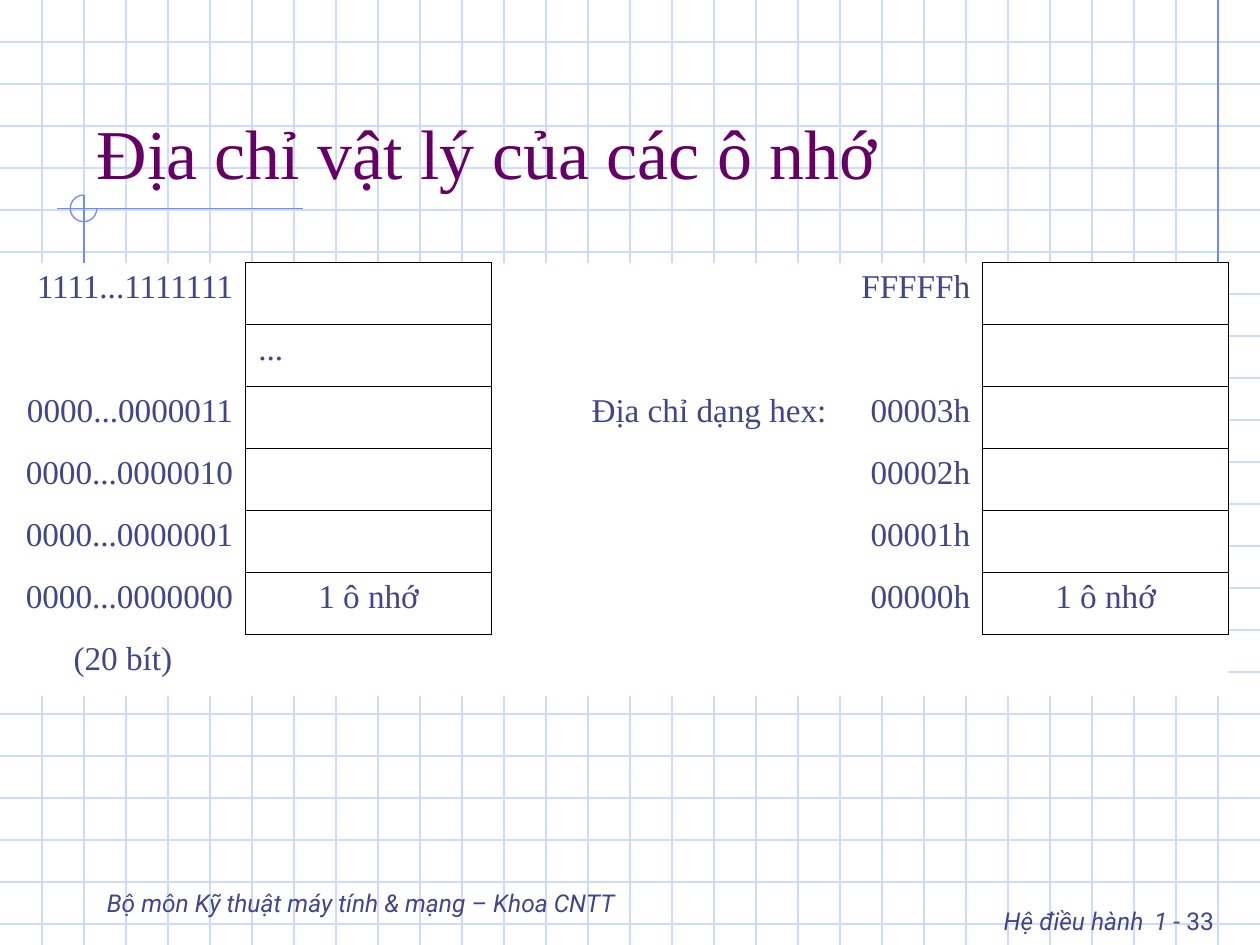
from lxml.etree import SubElement
from pptx import Presentation
from pptx.dml.color import RGBColor
from pptx.enum.shapes import MSO_CONNECTOR, MSO_SHAPE
from pptx.enum.text import MSO_ANCHOR, MSO_AUTO_SIZE, PP_ALIGN
from pptx.oxml.ns import qn
from pptx.util import Pt

# Content
TITLE = "Địa chỉ vật lý của các ô nhớ"
DEPARTMENT = "Bộ môn Kỹ thuật máy tính & mạng – Khoa CNTT"
# Page label runs: text, size, italic
PAGE_LABEL = [("Hệ điều hành", 14, True), (" ", 24, False),
              ("1", 14, True), (" - 33", 14, False)]
MEMORY = [
    ("1111...1111111", "", "", "FFFFFh", ""),
    ("", "...", "", "", ""),
    ("0000...0000011", "", "Địa chỉ dạng hex:", "00003h", ""),
    ("0000...0000010", "", "", "00002h", ""),
    ("0000...0000001", "", "", "00001h", ""),
    ("0000...0000000", "1 ô nhớ", "", "00000h", "1 ô nhớ"),
    ("(20 bít)", "", "", "", ""),
]
CENTERED = ("1 ô nhớ", "(20 bít)")
BOX_COLUMNS = (1, 4)
COLUMN_WIDTHS = (140.4, 140.4, 198.7, 82.1, 140.4)
ROW_HEIGHT = 35.43

# Look
WIDTH, HEIGHT, GRID = 720, 540, 24
SERIF, SANS = "Times New Roman", "Roboto"
INK, PLUM, PALE, BLUE = "40458C", "660066", "CFDBFD", "6F89F7"
WHITE, BLACK = "FFFFFF", "000000"


def color(value):
    return RGBColor.from_string(value)


def style(run, font, size, ink, italic=False):
    run.font.name, run.font.size, run.font.italic = font, Pt(size), italic
    run.font.color.rgb = color(ink)


def place(shape, left, top, width, height):
    shape.left, shape.top = Pt(left), Pt(top)
    shape.width, shape.height = Pt(width), Pt(height)


def add_line(slide, x1, y1, x2, y2, ink):
    line = slide.shapes.add_connector(
        MSO_CONNECTOR.STRAIGHT, Pt(x1), Pt(y1), Pt(x2), Pt(y2))
    line.line.color.rgb = color(ink)
    line.line.width = Pt(0.75)
    SubElement(line._element.spPr, qn("a:effectLst"))


def add_footer(slide, left, top, width, runs, align, anchor):
    footer = slide.shapes.add_textbox(Pt(left), Pt(top), Pt(width), Pt(36))
    frame = footer.text_frame
    frame.word_wrap, frame.vertical_anchor = True, anchor
    paragraph = frame.paragraphs[0]
    paragraph.alignment = align
    for words, size, italic in runs:
        run = paragraph.add_run()
        run.text = words
        style(run, SANS, size, INK, italic)


def is_box(row, column):
    return column in BOX_COLUMNS and 0 <= row < len(MEMORY) - 1


def set_borders(cell, row, column):
    neighbours = {"a:lnL": (row, column - 1), "a:lnR": (row, column + 1),
                  "a:lnT": (row - 1, column), "a:lnB": (row + 1, column)}
    properties = cell._tc.get_or_add_tcPr()
    for position, (edge, neighbour) in enumerate(neighbours.items()):
        border = SubElement(properties, qn(edge), w=str(Pt(0.45)))
        properties.insert(position, border)
        if is_box(row, column) or is_box(*neighbour):
            fill = SubElement(border, qn("a:solidFill"))
            SubElement(fill, qn("a:srgbClr"), val=BLACK)
        else:
            SubElement(border, qn("a:noFill"))


def fill_cell(cell, words, column):
    cell.fill.solid()
    cell.fill.fore_color.rgb = color(WHITE)
    if not words:
        return
    cell.text_frame.text = words
    paragraph = cell.text_frame.paragraphs[0]
    if words in CENTERED:
        paragraph.alignment = PP_ALIGN.CENTER
    elif column in BOX_COLUMNS:
        paragraph.alignment = PP_ALIGN.JUSTIFY
    else:
        paragraph.alignment = PP_ALIGN.RIGHT
    indent = paragraph._p.get_or_add_pPr()
    indent.set("marL", str(Pt(27)))
    indent.set("indent", str(-Pt(27)))
    style(paragraph.runs[0], SERIF, 19, INK)


def main():
    deck = Presentation()
    deck.slide_width, deck.slide_height = Pt(WIDTH), Pt(HEIGHT)
    slide = deck.slides.add_slide(deck.slide_layouts[5])

    # Squared paper with blue accents
    for y in range(GRID, HEIGHT, GRID):
        add_line(slide, 0, y, WIDTH, y, PALE)
    for x in range(GRID, WIDTH, GRID):
        add_line(slide, x, 0, x, HEIGHT, PALE)
    add_line(slide, 696, 0, 696, 186, BLUE)
    add_line(slide, 173, 119.3, 32.5, 119.3, BLUE)
    add_line(slide, 48, 111.5, 48, 294.5, BLUE)
    arc = slide.shapes.add_shape(
        MSO_SHAPE.ARC, Pt(40.2), Pt(111.5), Pt(15.2), Pt(15.2))
    arc.adjustments[0], arc.adjustments[1] = 0, 162
    arc.shadow.inherit = False
    arc.fill.background()
    arc.line.color.rgb = color(BLUE)
    arc.line.width = Pt(0.75)

    # Footers
    add_footer(slide, 492, 504, 208.8, PAGE_LABEL,
               PP_ALIGN.RIGHT, MSO_ANCHOR.TOP)
    add_footer(slide, 54, 492, 402, [(DEPARTMENT, 14, True)],
               PP_ALIGN.LEFT, MSO_ANCHOR.BOTTOM)

    # Title, brought in front of the grid
    title = slide.shapes.title
    place(title, 48, 72, 612, 42)
    title.text_frame.text = TITLE
    title.text_frame.auto_size = MSO_AUTO_SIZE.NONE
    title.text_frame.vertical_anchor = MSO_ANCHOR.BOTTOM
    heading = title.text_frame.paragraphs[0]
    heading.alignment = PP_ALIGN.LEFT
    style(heading.runs[0], SERIF, 40, PLUM)
    slide.shapes._spTree.append(title._element)

    # Memory table
    memory = slide.shapes.add_table(
        len(MEMORY), len(COLUMN_WIDTHS), Pt(0), Pt(150),
        Pt(sum(COLUMN_WIDTHS)), Pt(ROW_HEIGHT * len(MEMORY))).table
    memory.first_row = memory.horz_banding = False
    for column, width in zip(memory.columns, COLUMN_WIDTHS):
        column.width = Pt(width)
    for r, words_in_row in enumerate(MEMORY):
        memory.rows[r].height = Pt(ROW_HEIGHT)
        for c, words in enumerate(words_in_row):
            cell = memory.cell(r, c)
            fill_cell(cell, words, c)
            set_borders(cell, r, c)

    deck.save("out.pptx")


if __name__ == "__main__":
    main()
